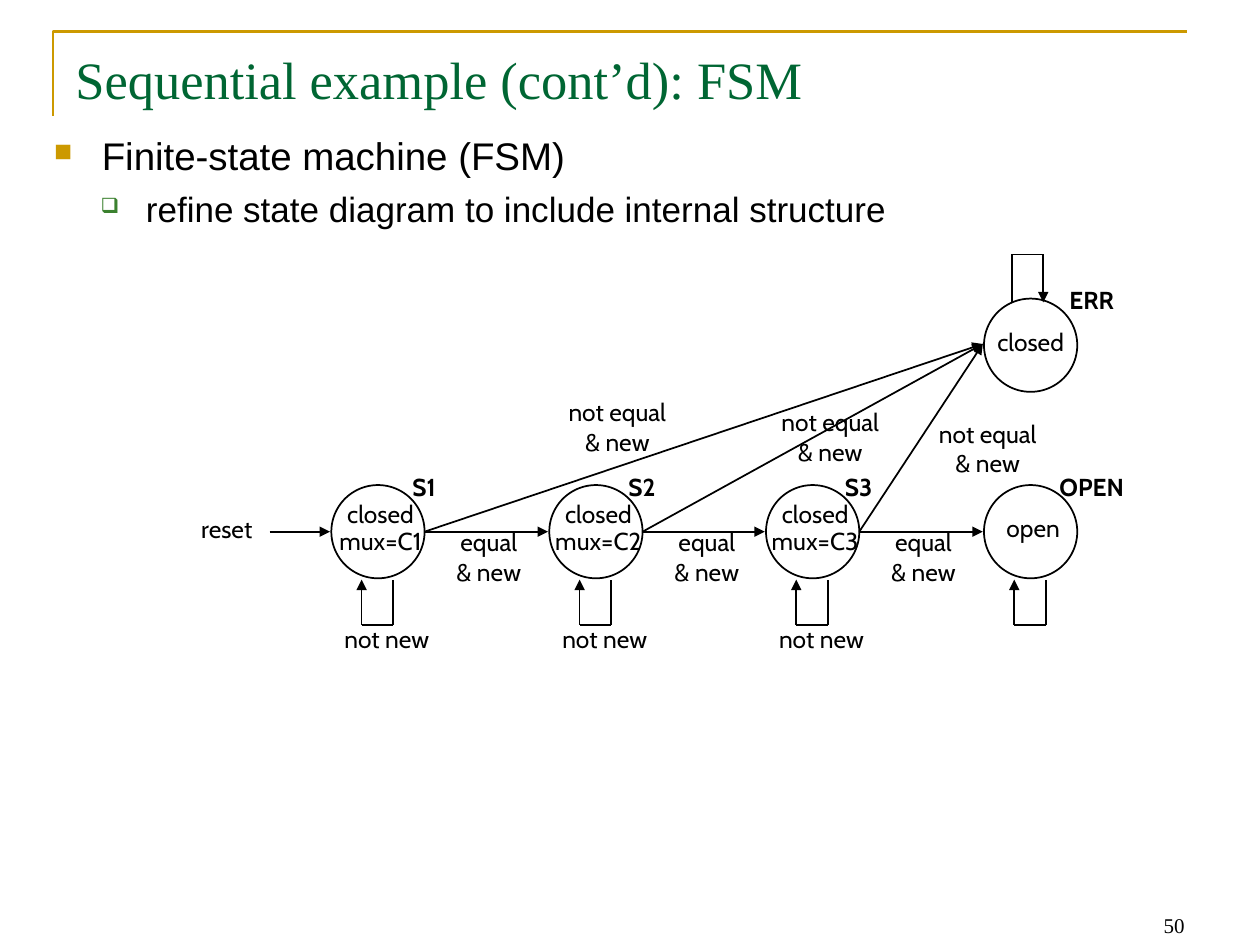
from typing import NamedTuple

from lxml import etree
from pptx import Presentation
from pptx.dml.color import RGBColor
from pptx.enum.shapes import MSO_CONNECTOR, MSO_SHAPE
from pptx.enum.text import MSO_ANCHOR, PP_ALIGN
from pptx.oxml.ns import qn
from pptx.util import Emu, Pt

STRAIGHT, OVAL = MSO_CONNECTOR.STRAIGHT, MSO_SHAPE.OVAL
TOP, BOTTOM = MSO_ANCHOR.TOP, MSO_ANCHOR.BOTTOM
LEFT, CENTER, RIGHT = PP_ALIGN.LEFT, PP_ALIGN.CENTER, PP_ALIGN.RIGHT
EMU_PER_PX = 9144  # 100 px to the inch
BLACK, GOLD, GREEN = "000000", "CC9900", "006633"
CIRCLE = 74
ROW_TOP, ERR_TOP = 385, 237
AXIS = ROW_TOP + CIRCLE // 2


class State(NamedTuple):
    name: str
    left: int
    top: int
    text: str
    text_left: int
    text_top: int
    name_left: int
    name_top: int


class Bullet(NamedTuple):
    text: str
    size: int
    mark: str
    colour: str
    percent: int
    margin: int
    indent: int
    before: float


def px(value: int) -> Emu:
    return Emu(value * EMU_PER_PX)


def rgb(value: str) -> RGBColor:
    return RGBColor.from_string(value)


def add_text(page, left: int, top: int, width: int, height: int, text: str,
             size: int = 14, font: str = "Cabin", colour: str = BLACK,
             align=CENTER, anchor=TOP, spacing: int = 0, bold: bool = False,
             insets: tuple = (2, 3), wrap: bool = False):
    box = page.shapes.add_textbox(px(left), px(top), px(width), px(height))
    frame = box.text_frame
    frame.word_wrap = wrap
    frame.vertical_anchor = anchor
    frame.margin_left = frame.margin_right = px(insets[0])
    frame.margin_top = frame.margin_bottom = px(insets[1])
    frame.text = text
    for para in frame.paragraphs:
        para.alignment = align
        if spacing:
            para.line_spacing = Pt(spacing)
        for span in para.runs:
            span.font.size = Pt(size)
            span.font.name = font
            span.font.bold = bold
            span.font.color.rgb = rgb(colour)
    return box


def add_line(page, start: tuple, end: tuple, arrow: bool = False) -> None:
    line = page.shapes.add_connector(STRAIGHT, *map(px, start + end))
    line.line.color.rgb = rgb(BLACK)
    line.line.width = Pt(1)
    if arrow:
        outline = line.line._get_or_add_ln()
        etree.SubElement(outline, qn("a:tailEnd"), type="triangle")
    etree.SubElement(line._element.spPr, qn("a:effectLst"))


def add_loop(page, left: int, right: int, near: int, far: int, arrow_left: bool) -> None:
    """Self-transition: two sides and a base, with an arrow back into the state."""
    add_line(page, (left, far), (left, near), arrow_left)
    add_line(page, (right, far), (right, near), not arrow_left)
    add_line(page, (left, far), (right, far))


def add_state(page, state: State) -> None:
    circle = page.shapes.add_shape(OVAL, px(state.left), px(state.top), px(CIRCLE), px(CIRCLE))
    circle.shadow.inherit = False
    circle.fill.background()
    circle.line.color.rgb = rgb(BLACK)
    circle.line.width = Pt(1)
    add_text(page, state.text_left, state.text_top, 76, 34, state.text, spacing=15)
    add_text(page, state.name_left, state.name_top, 71, 37, state.name, spacing=17, bold=True)


def format_bullet(para, bullet: Bullet) -> None:
    para.space_before = Pt(bullet.before)
    properties = para._p.get_or_add_pPr()
    properties.set("marL", str(px(bullet.margin)))
    properties.set("indent", str(px(bullet.indent)))
    colour = etree.SubElement(properties, qn("a:buClr"))
    etree.SubElement(colour, qn("a:srgbClr"), val=bullet.colour)
    etree.SubElement(properties, qn("a:buSzPct"), val=str(bullet.percent * 1000))
    etree.SubElement(properties, qn("a:buChar"), char=bullet.mark)
    for span in para.runs:
        span.font.size = Pt(bullet.size)


def add_heading(page) -> None:
    builder = page.shapes.build_freeform(42, 92, scale=EMU_PER_PX)
    builder.add_line_segments([(42, 25), (942, 25)], close=False)
    frame_line = builder.convert_to_shape()
    frame_line.shadow.inherit = False
    frame_line.fill.background()
    frame_line.line.color.rgb = rgb(GOLD)
    frame_line.line.width = Pt(1.5)
    add_text(page, 50, 30, 900, 57, "Sequential example (cont’d): FSM", 30,
             "Times New Roman", GREEN, LEFT, BOTTOM, insets=(10, 0), wrap=True)


def add_body(page) -> None:
    bullets = [
        Bullet("Finite-state machine (FSM)", 22, "■", GOLD, 65, 38, -38, 5.5),
        Bullet("refine state diagram to include internal structure", 20, "❑",
               "3B812F", 60, 73, -36, 5),
    ]
    body = add_text(page, 33, 105, 900, 474, "\n".join(b.text for b in bullets), 22,
                    "Arial", align=LEFT, insets=(10, 0), wrap=True)
    for para, bullet in zip(body.text_frame.paragraphs, bullets):
        format_bullet(para, bullet)


def add_diagram(page) -> None:
    # States: four in a row, the error state above the last
    lefts = [round(263 + i * 518 / 3) for i in range(4)]
    last = lefts[-1]
    states = [State(f"S{i}", left, ROW_TOP, f"closed\nmux=C{i}", left + 1, 396, left + 38, 371)
              for i, left in enumerate(lefts[:3], 1)]
    states.append(State("OPEN", last, ROW_TOP, "open", last + 1, 407, last + 50, 371))
    states.append(State("ERR", last, ERR_TOP, "closed", last - 1, 259, last + 50, 223))
    for state in states:
        add_state(page, state)

    # Reset
    add_text(page, 141, 405, 78, 37, "reset", spacing=17)
    add_line(page, (214, AXIS), (262, AXIS), arrow=True)

    # Transitions to the next state and to the error state
    error_entry = (last - 1, ERR_TOP + 36)
    for left, following in zip(lefts, lefts[1:]):
        leaving = (left + CIRCLE, AXIS)
        add_line(page, leaving, (following - 1, AXIS), arrow=True)
        add_line(page, leaving, error_entry, arrow=True)
        add_text(page, left + 43, 415, 164, 60, "equal\v& new", spacing=17)
        add_text(page, left, 492, 88, 37, "not new", spacing=17)
    for left, top in [(408, 312), (577, 320), (702, 329)]:
        add_text(page, left, top, 164, 60, "not equal\v& new", spacing=17)

    # Self-transitions
    for left in lefts:
        add_loop(page, left + 24, left + 49, 460, 496, arrow_left=True)
    add_loop(page, last + 22, last + 47, 240, 202, arrow_left=False)


def main() -> None:
    deck = Presentation()
    deck.slide_width, deck.slide_height = px(1000), px(750)
    page = deck.slides.add_slide(deck.slide_layouts[6])
    add_heading(page)
    add_body(page)
    add_diagram(page)
    add_text(page, 717, 699, 233, 50, "50", 12, "Times New Roman",
             align=RIGHT, anchor=BOTTOM, insets=(10, 5), wrap=True)
    deck.save("out.pptx")


if __name__ == "__main__":
    main()
